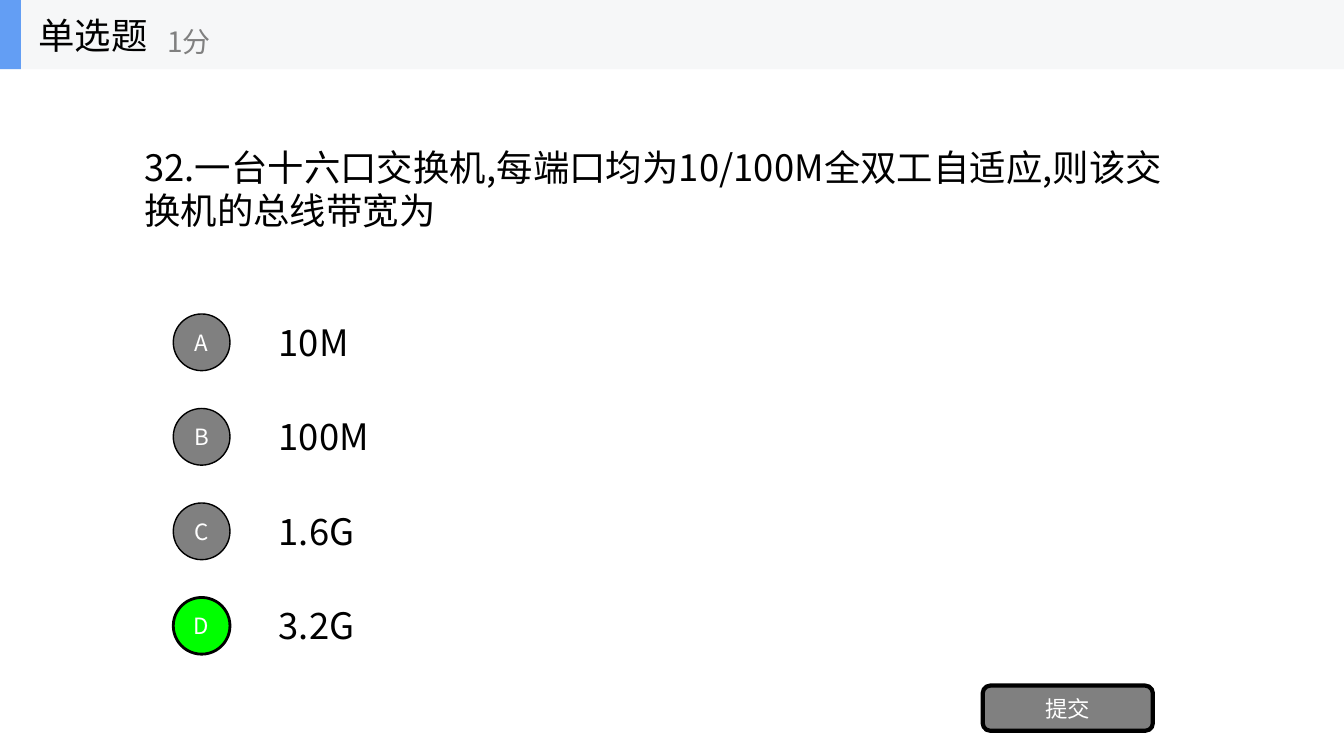
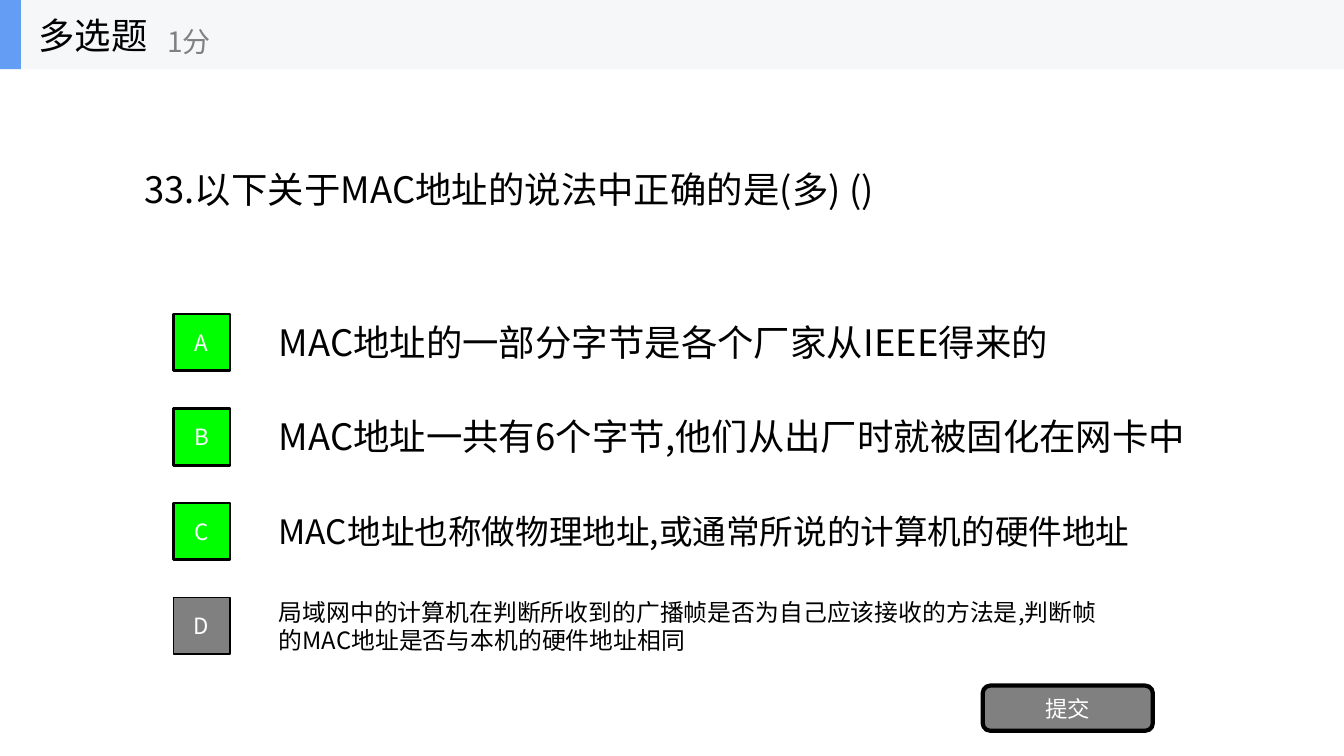
from dataclasses import dataclass

from lxml.etree import SubElement
from pptx import Presentation
from pptx.dml.color import RGBColor as RGB
from pptx.enum.shapes import MSO_SHAPE as SHAPE
from pptx.enum.text import MSO_ANCHOR as ANCHOR, MSO_AUTO_SIZE as AUTO, PP_ALIGN as ALIGN
from pptx.oxml.ns import qn
from pptx.util import Emu, Pt

PX = 9525


@dataclass(frozen=True)
class Theme:
    font: str = "Noto Sans CJK SC"
    ink: str = "000000"
    white: str = "FFFFFF"
    gray: str = "808080"
    green: str = "00FF00"
    band: str = "F6F7F8"
    accent: str = "639EF4"
    body: int = 26
    score: int = 20
    button: int = 16


T = Theme()


def px(*values):
    return [Emu(v * PX) for v in values]


def write(sp, text, size=T.body, color=T.ink, align=ALIGN.LEFT, grow=False):
    tf = sp.text_frame
    tf.word_wrap = True
    tf.vertical_anchor = ANCHOR.MIDDLE
    if grow:
        tf.auto_size = AUTO.SHAPE_TO_FIT_TEXT
    p = tf.paragraphs[0]
    p.alignment = align
    r = p.add_run()
    r.text = text
    r.font.size = Pt(size)
    r.font.color.rgb = RGB.from_string(color)
    r.font.name = T.font
    SubElement(r.font._element, qn("a:ea"), typeface=T.font)


def add_text(shapes, box, text, **fmt):
    write(shapes.add_textbox(*px(*box)), text, **fmt)


def add_box(shapes, kind, box, fill, line=0):
    sp = shapes.add_shape(kind, *px(*box))
    sp.shadow.inherit = False
    sp.fill.solid()
    sp.fill.fore_color.rgb = RGB.from_string(fill)
    if line:
        sp.line.color.rgb = RGB.from_string(T.ink)
        sp.line.width = Pt(line)
    else:
        sp.line.fill.background()
    return sp


def add_button(shapes, kind, box, text, fill, line):
    sp = add_box(shapes, kind, box, fill, line)
    tf = sp.text_frame
    tf.margin_left = tf.margin_right = tf.margin_top = tf.margin_bottom = 0
    write(sp, text, size=T.button, color=T.white, align=ALIGN.CENTER)


def add_header(s, box, title, score):
    x, y, w, h = box
    shapes = s.shapes.add_group_shape().shapes
    add_box(shapes, SHAPE.RECTANGLE, box, T.band)
    add_box(shapes, SHAPE.RECTANGLE, (x, y, 20, h), T.accent)
    add_text(shapes, (x + 27, y, 200, h), title)
    add_text(shapes, (x + 150, y + 12, 240, h - 12), score, size=T.score, color=T.gray)


def add_options(s, box, kind, options, answers):
    x, y, side, pitch = box
    for i, (text, w, h, size) in enumerate(options):
        letter = "ABCD"[i]
        top = y + i * pitch
        fill, line = (T.green, 2) if letter in answers else (T.gray, 1)
        add_text(s.shapes, (x + 91, top + (side - h) // 2, w, h), text, size=size, grow=True)
        add_button(s.shapes, kind, (x, top, side, side), letter, fill, line)


def add_question(prs, title, question, width, height, kind, options, answers):
    s = prs.slides.add_slide(prs.slide_layouts[6])
    add_text(s.shapes, (128, 179 - height // 2, width, height), question, grow=True)
    add_options(s, (165, 299, 54, 90), kind, options, answers)
    add_button(s.shapes, SHAPE.ROUNDED_RECTANGLE, (936, 653, 162, 43), "提交", T.gray, 3)
    add_header(s, (0, 0, 1280, 66), title, "1分")


def main():
    prs = Presentation()
    prs.slide_width, prs.slide_height = px(1280, 720)
    add_question(
        prs, "单选题",
        "32.一台十六口交换机,每端口均为10/100M全双工自适应,则该交换机的总线带宽为",
        997, 93, SHAPE.OVAL,
        [("10M", 94, 51, T.body), ("100M", 114, 51, T.body),
         ("1.6G", 94, 51, T.body), ("3.2G", 94, 51, T.body)],
        "D")
    add_question(
        prs, "多选题", "33.以下关于MAC地址的说法中正确的是(多) ()",
        726, 51, SHAPE.RECTANGLE,
        [("MAC地址的一部分字节是各个厂家从IEEE得来的", 757, 51, T.body),
         ("MAC地址一共有6个字节,他们从出厂时就被固化在网卡中", 892, 51, T.body),
         ("MAC地址也称做物理地址,或通常所说的计算机的硬件地址", 838, 48, 24),
         ("局域网中的计算机在判断所收到的广播帧是否为自己应该接收的方法是,"
          "判断帧的MAC地址是否与本机的硬件地址相同", 818, 64, 17)],
        "ABC")
    prs.save("out.pptx")


if __name__ == "__main__":
    main()
